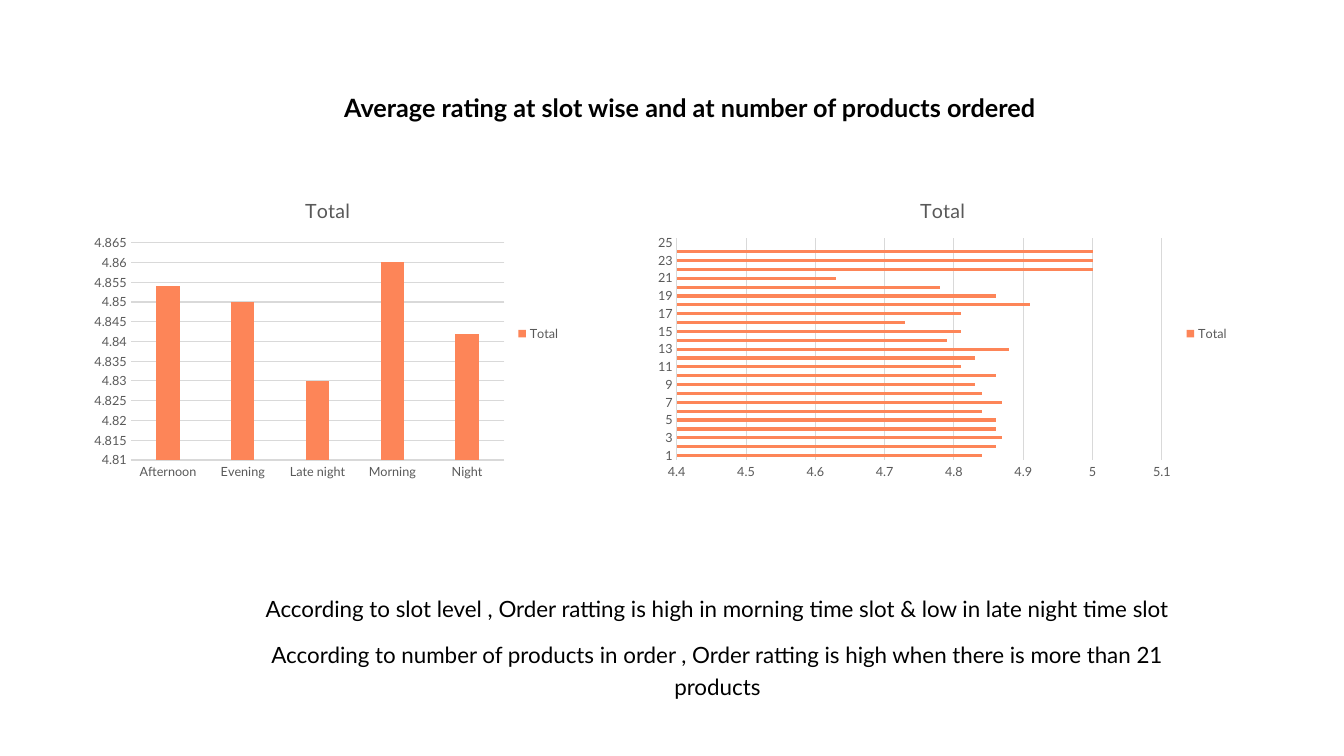
from pptx import Presentation
from pptx.chart.data import CategoryChartData
from pptx.dml.color import RGBColor
from pptx.enum.chart import XL_CHART_TYPE as Kind, XL_LEGEND_POSITION as Side, XL_TICK_MARK as Tick
from pptx.enum.text import MSO_ANCHOR as Anchor, PP_ALIGN as Align
from pptx.util import Inches, Pt

TITLE = "Average rating at slot wise and at number of products ordered"
NOTES = [
    "According to slot level , Order ratting is high in morning time slot & low in late night time slot",
    "According to number of products in order , Order ratting is high when there is more than 21 products",
]
SLOTS = {"Afternoon": 4.854, "Evening": 4.85, "Late night": 4.83, "Morning": 4.86, "Night": 4.842}
COUNTS = [4.84, 4.86, 4.87, 4.86, 4.86, 4.84, 4.87, 4.84, 4.83, 4.86, 4.81, 4.83, 4.88,
          4.79, 4.81, 4.73, 4.81, 4.91, 4.86, 4.78, 4.63, 5, 5, 5, None]
ORDERS = {str(n): rate for n, rate in enumerate(COUNTS, 1)}

# kind, values, left, width, gap, overlap, axis low, high, step
CHARTS = [
    (Kind.COLUMN_CLUSTERED, SLOTS, 0.84, 4.82, 219, -27, 4.81, 4.865, 0.005),
    (Kind.BAR_CLUSTERED, ORDERS, 6.41, 5.88, 182, 0, 4.4, 5.1, 0.1),
]
TOP, HIGH = 1.8, 3.02

FACE = "Lato"
BLACK = RGBColor(0, 0, 0)
GRAY = RGBColor(0x59, 0x59, 0x59)
PALE = RGBColor(0xD9, 0xD9, 0xD9)
CORAL = RGBColor(0xFD, 0x85, 0x58)


def style(font, size, color, bold=False):
    font.name, font.size, font.bold = FACE, Pt(size), bold
    font.color.rgb = color


def rule(line):
    line.color.rgb = PALE
    line.width = Pt(0.75)


def add_rating(slide, kind, rates, left, width, gap, lap, low, high, step):
    data = CategoryChartData()
    data.categories = list(rates)
    data.add_series("Total", list(rates.values()))
    box = [Inches(v) for v in (left, TOP, width, HIGH)]
    chart = slide.shapes.add_chart(kind, *box, data).chart
    style(chart.font, 10, BLACK)

    chart.has_title = True
    chart.chart_title.include_in_layout = False
    head = chart.chart_title.text_frame
    head.text = "Total"
    style(head.paragraphs[0].font, 14, GRAY)

    chart.has_legend = True
    chart.legend.position = Side.RIGHT
    chart.legend.include_in_layout = False
    style(chart.legend.font, 9, GRAY)

    plot = chart.plots[0]
    plot.gap_width, plot.overlap, plot.vary_by_categories = gap, lap, False
    fill = plot.series[0].format.fill
    fill.solid()
    fill.fore_color.rgb = CORAL

    for axis in (chart.category_axis, chart.value_axis):
        axis.major_tick_mark = axis.minor_tick_mark = Tick.NONE
        style(axis.tick_labels.font, 9, GRAY)
    rule(chart.category_axis.format.line)
    value = chart.value_axis
    value.minimum_scale, value.maximum_scale, value.major_unit = low, high, step
    value.format.line.fill.background()
    value.has_major_gridlines = True
    rule(value.major_gridlines.format.line)


def main():
    deck = Presentation()
    deck.slide_width, deck.slide_height = Inches(13.33), Inches(7.5)
    slide = deck.slides.add_slide(deck.slide_layouts[5])

    title = slide.shapes.title
    title.left, title.top, title.width, title.height = [Inches(v) for v in (2.72, 0.87, 8.24, 0.4)]
    title.text_frame.text = TITLE
    title.text_frame.vertical_anchor = Anchor.MIDDLE
    para = title.text_frame.paragraphs[0]
    para.alignment = Align.CENTER
    style(para.font, 18, BLACK, True)

    for spec in CHARTS:
        add_rating(slide, *spec)

    notes = slide.shapes.add_textbox(*[Inches(v) for v in (2.39, 5.8, 9.45, 1.31)]).text_frame
    notes.word_wrap = True
    for i, text in enumerate(NOTES):
        para = notes.add_paragraph() if i else notes.paragraphs[0]
        para.text = text
        para.alignment = Align.CENTER
        para.line_spacing = 1.2
        para.space_before = Pt(10 if i else 0)
        style(para.font, 16, BLACK)

    deck.save("out.pptx")


if __name__ == "__main__":
    main()
